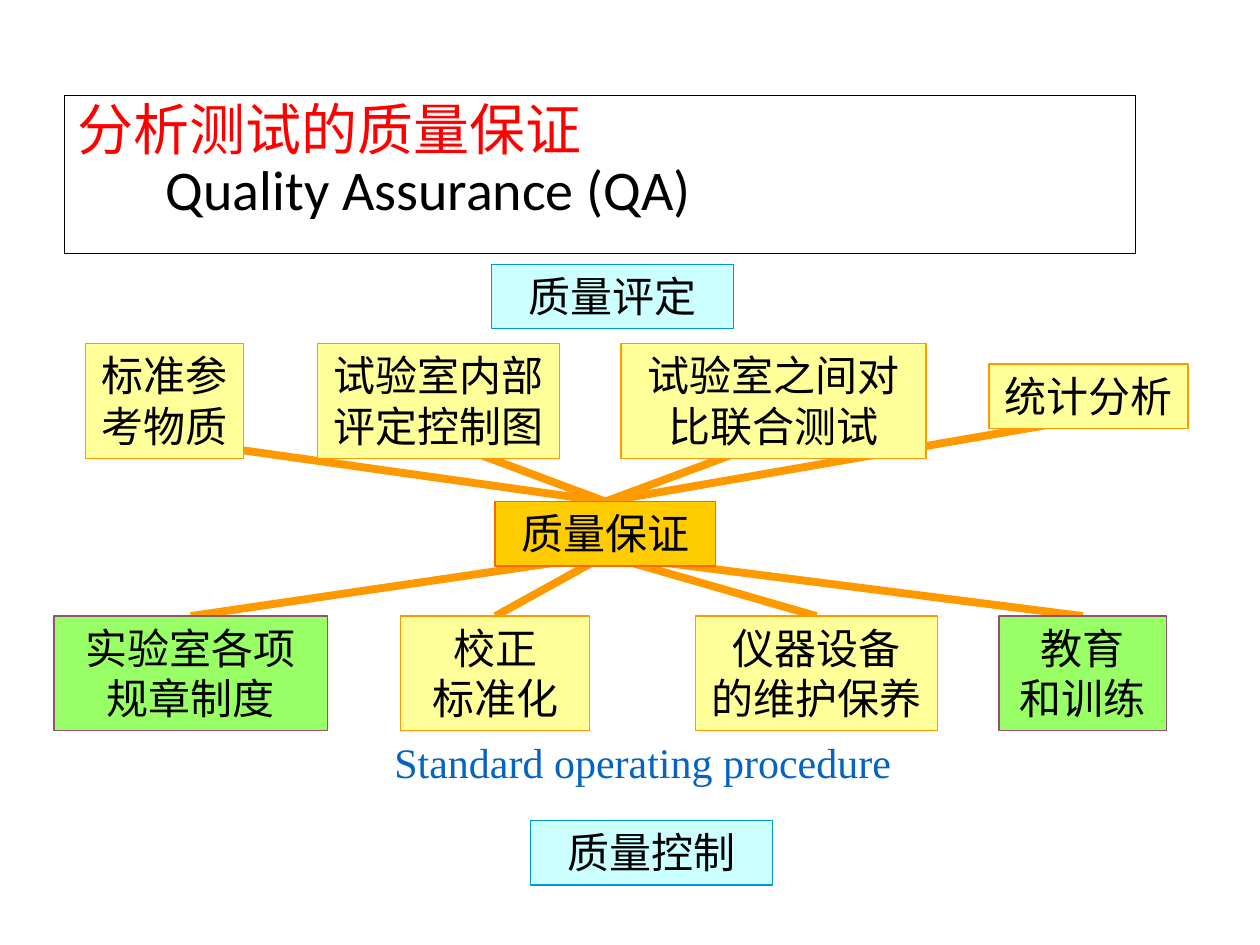
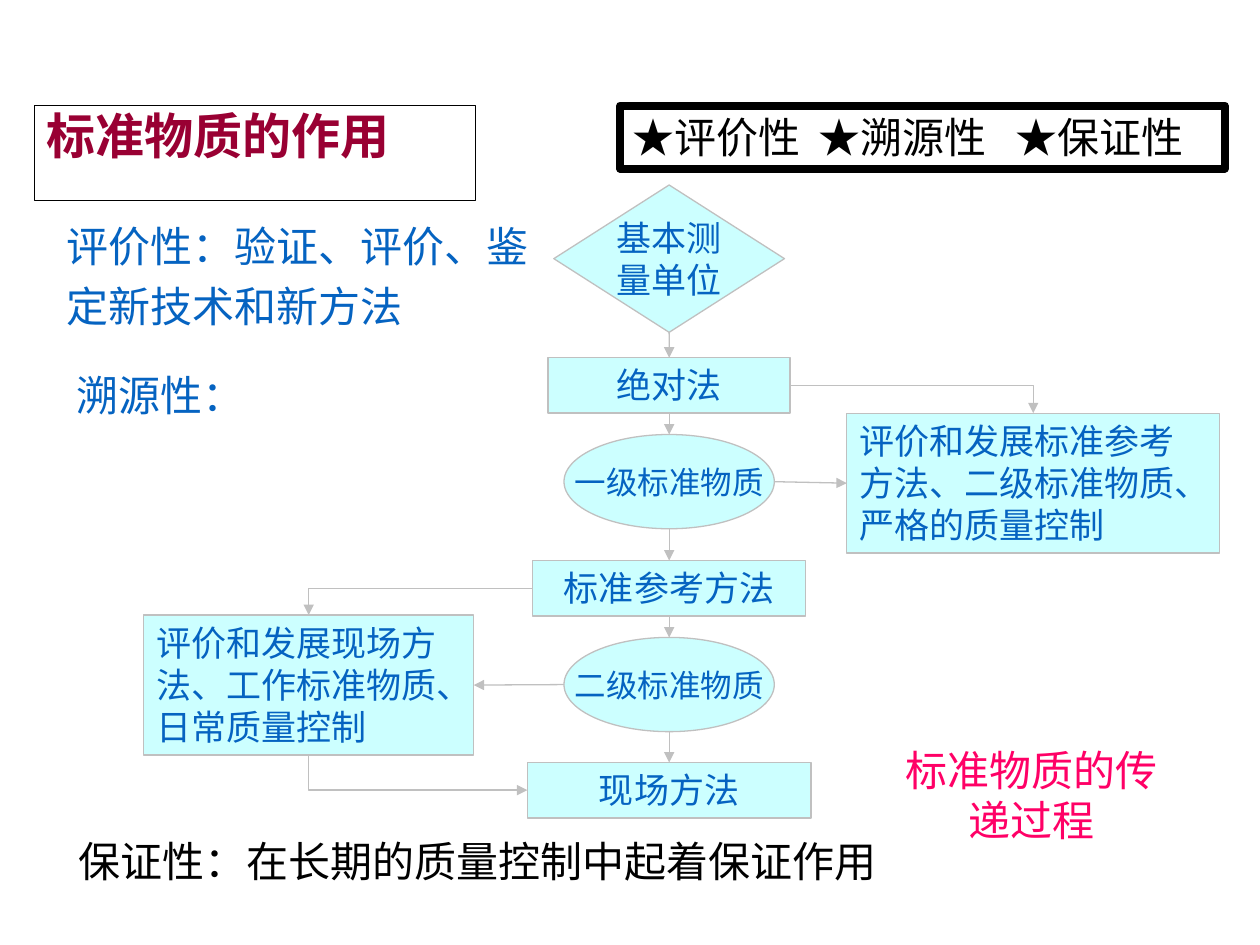
from lxml.etree import SubElement
from pptx import Presentation
from pptx.dml.color import RGBColor
from pptx.enum.shapes import MSO_CONNECTOR as LINK, MSO_SHAPE as SHAPE
from pptx.enum.text import MSO_ANCHOR as ANCHOR, MSO_AUTO_SIZE as FIT, PP_ALIGN as ALIGN
from pptx.oxml.ns import qn
from pptx.util import Cm, Pt

BLACK, BLUE, RED, MAROON, PINK = "000000", "0563C1", "FF0000", "990033", "FF0066"
ORANGE, SILVER = "FF9900", "C0C0C0"
HEAD_FONT, BODY_FONT = "Calibri", "Times New Roman"
TOP, LEFT, BOTTOM, RIGHT = range(4)

STYLES = {
    "group": ("CCFFFF", "0099CC", 0.75),
    "method": ("FFFF99", ORANGE, 0.75),
    "hub": ("FFCC00", "FF6600", 0.75),
    "people": ("99FF66", "954F72", 0.75),
    "step": ("CCFFFF", SILVER, 0.75),
    "frame": (None, BLACK, 4.5),
    "title": ("FFFFFF", BLACK, 0.75),
    "plain": (None, None, 0),
}
GROW = {"word_wrap": True, "auto_size": FIT.SHAPE_TO_FIT_TEXT, "vertical_anchor": ANCHOR.TOP}
FIXED = {"word_wrap": True, "auto_size": FIT.NONE, "vertical_anchor": ANCHOR.TOP}
LOOSE = {"word_wrap": False, "auto_size": FIT.NONE, "vertical_anchor": ANCHOR.MIDDLE}

QA_TITLE = [("分析测试的质量保证", RED, 0), ("Quality Assurance (QA)", BLACK, 1.79)]
QA_GROUPS = [
    ("质量评定", (9.91, 5.33, 4.88, 1.3)),
    ("质量控制", (10.69, 16.54, 4.88, 1.3)),
]
QA_HUB = ("质量保证", (9.98, 10.11, 4.45, 1.3))
QA_ASSESSMENT = [
    ("标准参考物质", (1.73, 6.93, 3.18, 2.31)),
    ("试验室内部评定控制图", (6.4, 6.93, 4.88, 2.31)),
    ("试验室之间对比联合测试", (12.52, 6.93, 6.15, 2.31)),
    ("统计分析", (19.94, 7.34, 4.01, 1.3)),
]
QA_CONTROL = [
    ("实验室各项规章制度", "people", 1.09, 5.51),
    ("校正\n标准化", "method", 8.08, 3.81),
    ("仪器设备\n的维护保养", "method", 14.02, 4.88),
    ("教育\n和训练", "people", 20.14, 3.38),
]
CONTROL_TOP, CONTROL_HEIGHT = 12.42, 2.31
QA_PROCEDURE = ("Standard operating procedure", (7.7, 14.73, 11.81, 1.27))

ROLE_TITLE = [("标准物质的作用", MAROON, 0)]
ROLES = ["★评价性", "★溯源性", "★保证性"]
ROLE_TABS = [3.75, 7.72]
ROLE_NOTES = [
    ("评价性：验证、评价、鉴定新技术和新方法", (1.09, 4.11, 9.83, 2.72), BLUE, ALIGN.LEFT, 1.2),
    ("溯源性：", (1.3, 7.32, 4.45, 1.27), BLUE, ALIGN.LEFT, 1),
    ("标准物质的传递过程", (17.93, 14.88, 5.72, 2.31), PINK, ALIGN.CENTER, 1),
    ("保证性：在长期的质量控制中起着保证作用", (0.84, 16.71, 17.58, 1.27), BLACK, ALIGN.CENTER, 1),
]
CHAIN_CENTRE = 13.49
CHAIN = [
    ("基本测\n量单位", SHAPE.DIAMOND, 3.73, 4.65, 2.97, 20),
    ("绝对法", SHAPE.RECTANGLE, 7.21, 4.88, 1.12, 20),
    ("一级标准物质", SHAPE.OVAL, 8.76, 4.24, 1.9, 18),
    ("标准参考方法", SHAPE.RECTANGLE, 11.3, 5.51, 1.12, 20),
    ("二级标准物质", SHAPE.OVAL, 12.85, 4.24, 1.9, 18),
    ("现场方法", SHAPE.RECTANGLE, 15.37, 5.72, 1.12, 20),
]
FIELD_USE = ("评价和发展现场方法、工作标准物质、日常质量控制", (2.9, 12.4, 6.65, 2.82))
REFERENCE_USE = ("评价和发展标准参考方法、二级标准物质、严格的质量控制", (17.07, 8.33, 7.52, 2.82))


def rgb(value):
    return RGBColor.from_string(value)


def apply(target, formats):
    for key, value in formats.items():
        setattr(target, key, value)


def paint(shape, style):
    fill, line, width = STYLES[style]
    if fill:
        shape.fill.solid()
        shape.fill.fore_color.rgb = rgb(fill)
    else:
        shape.fill.background()
    if line:
        shape.line.color.rgb = rgb(line)
        shape.line.width = Pt(width)
    else:
        shape.line.fill.background()


def write(paragraph, color, size, font=BODY_FONT, align=ALIGN.CENTER, spacing=1, bold=False):
    apply(paragraph, {"alignment": align, "line_spacing": spacing})
    apply(paragraph.font, {"size": Pt(size), "name": font, "bold": bold})
    paragraph.font.color.rgb = rgb(color)


def add_box(slide, text, place, style, color=BLACK, size=24, kind=SHAPE.RECTANGLE, frame=GROW, **format):
    lengths = [Cm(value) for value in place]
    if style == "plain":
        box = slide.shapes.add_textbox(*lengths)
    else:
        box = slide.shapes.add_shape(kind, *lengths)
        box.shadow.inherit = False
    paint(box, style)
    box.text_frame.text = text
    apply(box.text_frame, frame)
    for paragraph in box.text_frame.paragraphs:
        write(paragraph, color, size, **format)
    return box


def add_titled_slide(deck, lines, place, size, bold=False):
    slide = deck.slides.add_slide(deck.slide_layouts[5])
    title = slide.shapes.title
    apply(title, dict(zip(("left", "top", "width", "height"), map(Cm, place))))
    paint(title, "title")
    title.text_frame.text = "\n".join(text for text, _, _ in lines)
    apply(title.text_frame, FIXED)
    for paragraph, (_, color, indent) in zip(title.text_frame.paragraphs, lines):
        write(paragraph, color, size, HEAD_FONT, ALIGN.LEFT, 0.9, bold)
        paragraph._p.get_or_add_pPr().set("marL", str(Cm(indent)))
    return slide


def point(box, side):
    across, down = {TOP: (0.5, 0), LEFT: (0, 0.5), BOTTOM: (0.5, 1), RIGHT: (1, 0.5)}[side]
    return inside(box, across, down)


def inside(box, across, down):
    return int(box.left + box.width * across), int(box.top + box.height * down)


def add_line(slide, start, end, color, width, kind=LINK.STRAIGHT):
    line = slide.shapes.add_connector(kind, *start, *end)
    line.line.color.rgb = rgb(color)
    line.line.width = Pt(width)
    SubElement(line.element.spPr, qn("a:effectLst"))
    return line


def add_arrow(slide, source, source_side, target, target_side, bent=False, arrow="a:tailEnd"):
    line = add_line(slide, point(source, source_side), point(target, target_side), SILVER, 0.75,
                    LINK.ELBOW if bent else LINK.STRAIGHT)
    if bent:
        line.element.spPr.find(qn("a:prstGeom")).set("prst", "bentConnector2")
    SubElement(line.element.spPr.find(qn("a:ln")), qn(arrow), type="triangle")
    for box, side, connect in ((source, source_side, line.begin_connect),
                               (target, target_side, line.end_connect)):
        if side == TOP or box.auto_shape_type != SHAPE.OVAL:
            connect(box, side)


def add_spoke(slide, start, box):
    line = add_line(slide, start, point(box, TOP), ORANGE, 4.5)
    line.end_connect(box, TOP)
    slide.shapes.element.insert(2, line.element)


def build_assurance(deck):
    slide = add_titled_slide(deck, QA_TITLE, (1.3, 1.93, 21.59, 3.18), 32)
    for text, place in QA_GROUPS:
        add_box(slide, text, place, "group")
    text, place = QA_PROCEDURE
    add_box(slide, text, place, "plain", BLUE, align=ALIGN.LEFT)
    hub = add_box(slide, *QA_HUB, "hub")
    for text, place in QA_ASSESSMENT:
        method = add_box(slide, text, place, "method")
        add_spoke(slide, inside(method, 1 / 2, 5 / 6), hub)
    for text, style, left, width in QA_CONTROL:
        measure = add_box(slide, text, (left, CONTROL_TOP, width, CONTROL_HEIGHT), style)
        add_spoke(slide, inside(hub, 1 / 2, 5 / 6), measure)


def build_roles(deck):
    slide = add_titled_slide(deck, ROLE_TITLE, (0.69, 2.13, 8.89, 1.91), 28, True)
    roles = add_box(slide, "\t".join(ROLES), (12.5, 2.13, 12.19, 1.27), "frame", align=ALIGN.LEFT)
    properties = roles.text_frame.paragraphs[0]._p.get_or_add_pPr()
    tabs = properties.makeelement(qn("a:tabLst"))
    properties.find(qn("a:defRPr")).addprevious(tabs)
    for stop in ROLE_TABS:
        SubElement(tabs, qn("a:tab"), pos=str(Cm(stop)), algn="l")
    for text, place, color, align, spacing in ROLE_NOTES:
        add_box(slide, text, place, "plain", color, align=align, spacing=spacing)

    chain = []
    for text, kind, top, width, height, size in CHAIN:
        place = (CHAIN_CENTRE - width / 2, top, width, height)
        frame = GROW if kind == SHAPE.RECTANGLE else LOOSE
        chain.append(add_box(slide, text, place, "step", BLUE, size, kind, frame))
    field_use, reference_use = [
        add_box(slide, text, place, "step", BLUE, 20, align=ALIGN.LEFT)
        for text, place in (FIELD_USE, REFERENCE_USE)
    ]
    for upper, lower in zip(chain, chain[1:]):
        add_arrow(slide, upper, BOTTOM, lower, TOP)
    _, absolute, primary, reference, secondary, field = chain
    add_arrow(slide, secondary, LEFT, field_use, RIGHT)
    add_arrow(slide, primary, RIGHT, reference_use, LEFT)
    add_arrow(slide, absolute, RIGHT, reference_use, TOP, bent=True)
    add_arrow(slide, reference, LEFT, field_use, TOP, bent=True)
    add_arrow(slide, field, LEFT, field_use, BOTTOM, bent=True, arrow="a:headEnd")


def main():
    deck = Presentation()
    deck.slide_width, deck.slide_height = Cm(25.4), Cm(19.05)
    build_assurance(deck)
    build_roles(deck)
    deck.save("out.pptx")


if __name__ == "__main__":
    main()
